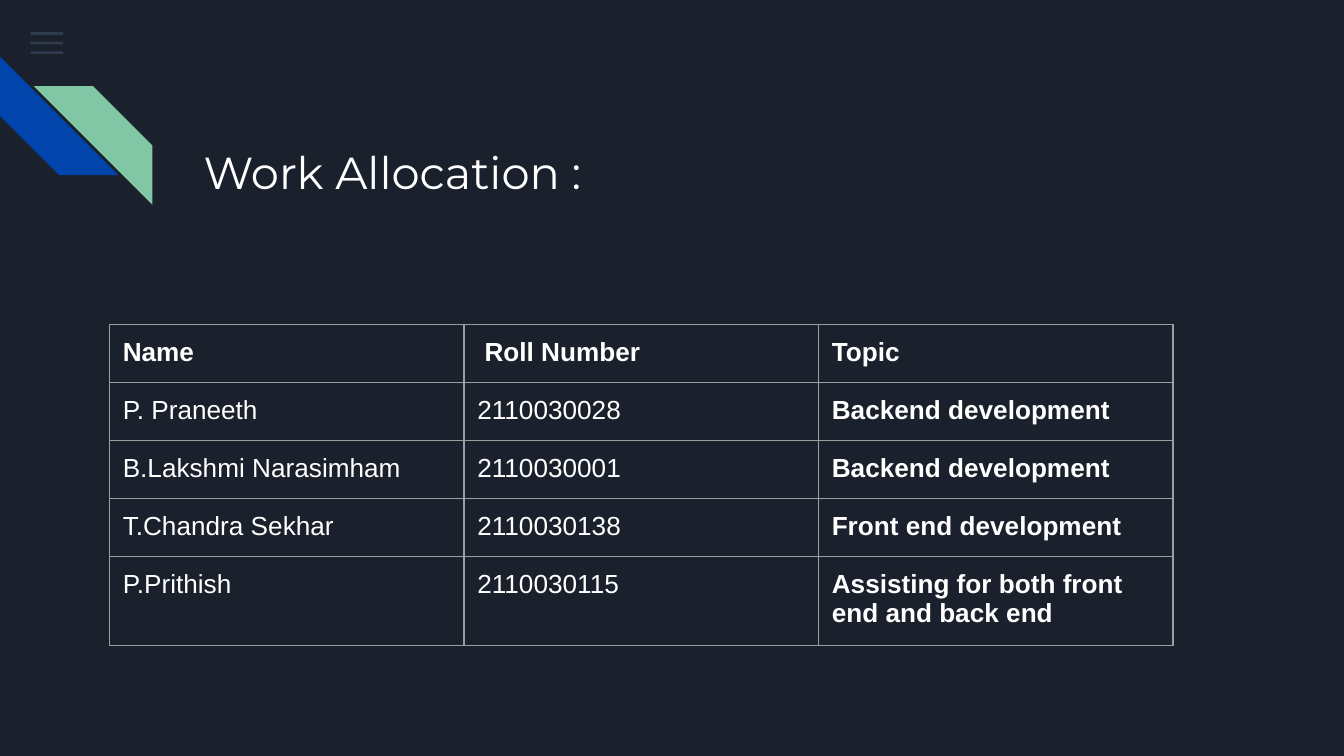
"""Build the work allocation slide with its member table."""
import dataclasses

import lxml.etree
import pptx
import pptx.dml.color
import pptx.enum.shapes
import pptx.enum.text
import pptx.oxml
import pptx.oxml.ns
import pptx.shapes.autoshape
import pptx.slide
import pptx.table
import pptx.text.text
import pptx.util

Cm = pptx.util.Cm
Pt = pptx.util.Pt
qn = pptx.oxml.ns.qn
Shape = pptx.enum.shapes.MSO_SHAPE


@dataclasses.dataclass(frozen=True)
class Theme:
    background: str = "1B212C"
    text: str = "FFFFFF"
    menu: str = "55688B"
    menu_opacity: int = 36
    blue: str = "0145AC"
    green: str = "82C7A5"
    border: str = "9E9E9E"
    border_width: float = 0.75
    title_font: str = "Montserrat"
    title_size: int = 24
    table_font: str = "Arial"
    table_size: int = 14


@dataclasses.dataclass(frozen=True)
class Decoration:
    preset: Shape
    left: float
    top: float
    width: float
    height: float
    color: str
    rotation: int = 0
    opacity: int = 100


@dataclasses.dataclass(frozen=True)
class Member:
    name: str
    roll_number: str
    topic: str


THEME = Theme()
STRIPE_SIZE = 2.24
DECORATIONS = [
    Decoration(Shape.RECTANGLE, 0.58, 0.61 + 0.18 * index * 1.0, 0.61, 0.05,
               THEME.menu, opacity=THEME.menu_opacity)
    for index in range(3)
] + [
    Decoration(Shape.DIAGONAL_STRIPE, 0, 1.07, STRIPE_SIZE, STRIPE_SIZE, THEME.blue, 270),
    Decoration(Shape.DIAGONAL_STRIPE, 0.64, 1.63, STRIPE_SIZE, STRIPE_SIZE, THEME.green, 90),
]
HEADING = Member("Name", " Roll Number", "Topic")
MEMBERS = [
    Member("P. Praneeth", "2110030028", "Backend development"),
    Member("B.Lakshmi Narasimham", "2110030001", "Backend development"),
    Member("T.Chandra Sekhar", "2110030138", "Front end development"),
    Member("P.Prithish", "2110030115", "Assisting for both front end and back end"),
]


def rgb(color: str) -> pptx.dml.color.RGBColor:
    return pptx.dml.color.RGBColor.from_string(color)


def write_text(frame: pptx.text.text.TextFrame, text: str, *, font: str, size: int,
               bold: bool = False, line_spacing: float = 1.0, space_after: int = 0) -> None:
    frame.word_wrap = True
    paragraph = frame.paragraphs[0]
    paragraph.line_spacing = line_spacing
    paragraph.space_after = Pt(space_after)
    run = paragraph.add_run()
    run.text = text
    run.font.name = font
    run.font.size = Pt(size)
    run.font.bold = bold
    run.font.color.rgb = rgb(THEME.text)


def draw_decoration(slide: pptx.slide.Slide, item: Decoration) -> None:
    shape = slide.shapes.add_shape(
        item.preset, Cm(item.left), Cm(item.top), Cm(item.width), Cm(item.height))
    shape.shadow.inherit = False
    shape.rotation = item.rotation
    shape.line.fill.background()
    shape.fill.solid()
    shape.fill.fore_color.rgb = rgb(item.color)
    if item.opacity < 100:
        color = shape.fill._xPr.find(qn("a:solidFill"))[0]
        lxml.etree.SubElement(color, qn("a:alpha"), val=str(item.opacity * 1000))


def draw_title(slide: pptx.slide.Slide, text: str) -> None:
    title = slide.shapes.add_textbox(Cm(3.6), Cm(2.34), Cm(15.57), Cm(1.65))
    frame = title.text_frame
    frame.margin_left = frame.margin_right = Cm(0.25)
    frame.margin_top = frame.margin_bottom = Cm(0.25)
    frame.vertical_anchor = pptx.enum.text.MSO_ANCHOR.TOP
    write_text(frame, text, font=THEME.title_font, size=THEME.title_size,
               line_spacing=1.15, space_after=16)


def style_cell(cell: pptx.table._Cell) -> None:
    cell.margin_left = cell.margin_right = Cm(0.25)
    cell.margin_top = cell.margin_bottom = Cm(0.25)
    properties = cell._tc.get_or_add_tcPr()
    for side in ("lnL", "lnR", "lnT", "lnB"):
        border = lxml.etree.SubElement(
            properties, qn(f"a:{side}"), w=str(Pt(THEME.border_width)))
        fill = lxml.etree.SubElement(border, qn("a:solidFill"))
        lxml.etree.SubElement(fill, qn("a:srgbClr"), val=THEME.border)
    cell.fill.solid()
    cell.fill.fore_color.rgb = rgb(THEME.background)


def draw_table(slide: pptx.slide.Slide, rows: list[Member]) -> None:
    column_width, row_height = 6.7, 1.06
    fields = dataclasses.fields(Member)
    table = slide.shapes.add_table(
        len(rows), len(fields), Cm(2.07), Cm(6.14),
        Cm(column_width * len(fields)), Cm(row_height * len(rows))).table
    table.first_row = table.horz_banding = False
    for row_index, member in enumerate(rows):
        for column_index, text in enumerate(dataclasses.astuple(member)):
            cell = table.cell(row_index, column_index)
            style_cell(cell)
            write_text(cell.text_frame, text, font=THEME.table_font, size=THEME.table_size,
                       bold=row_index == 0 or column_index == len(fields) - 1)


def main() -> None:
    presentation = pptx.Presentation()
    presentation.slide_width = Cm(25.4)
    presentation.slide_height = Cm(14.29)
    slide = presentation.slides.add_slide(presentation.slide_layouts[6])
    slide.background.fill.solid()
    slide.background.fill.fore_color.rgb = rgb(THEME.background)
    for decoration in DECORATIONS:
        draw_decoration(slide, decoration)
    draw_title(slide, "Work Allocation :")
    draw_table(slide, [HEADING, *MEMBERS])
    presentation.save("out.pptx")


if __name__ == "__main__":
    main()
